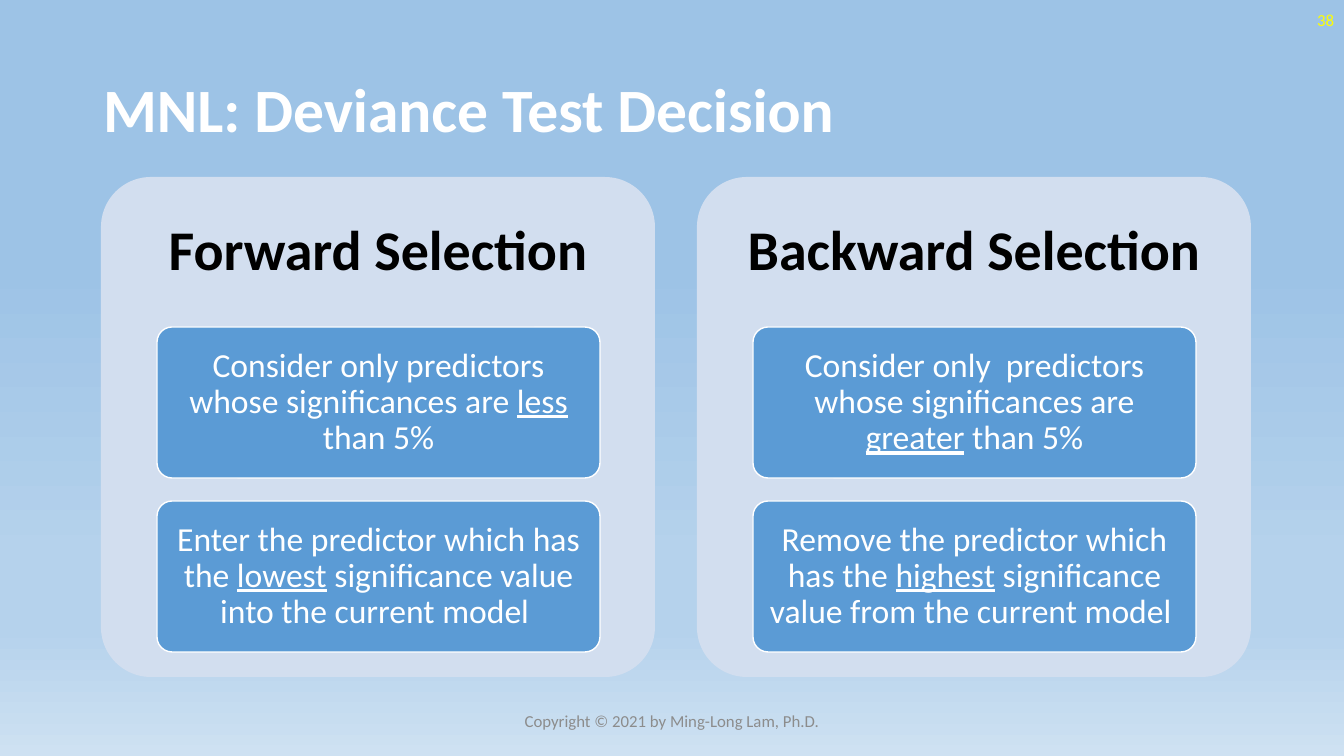
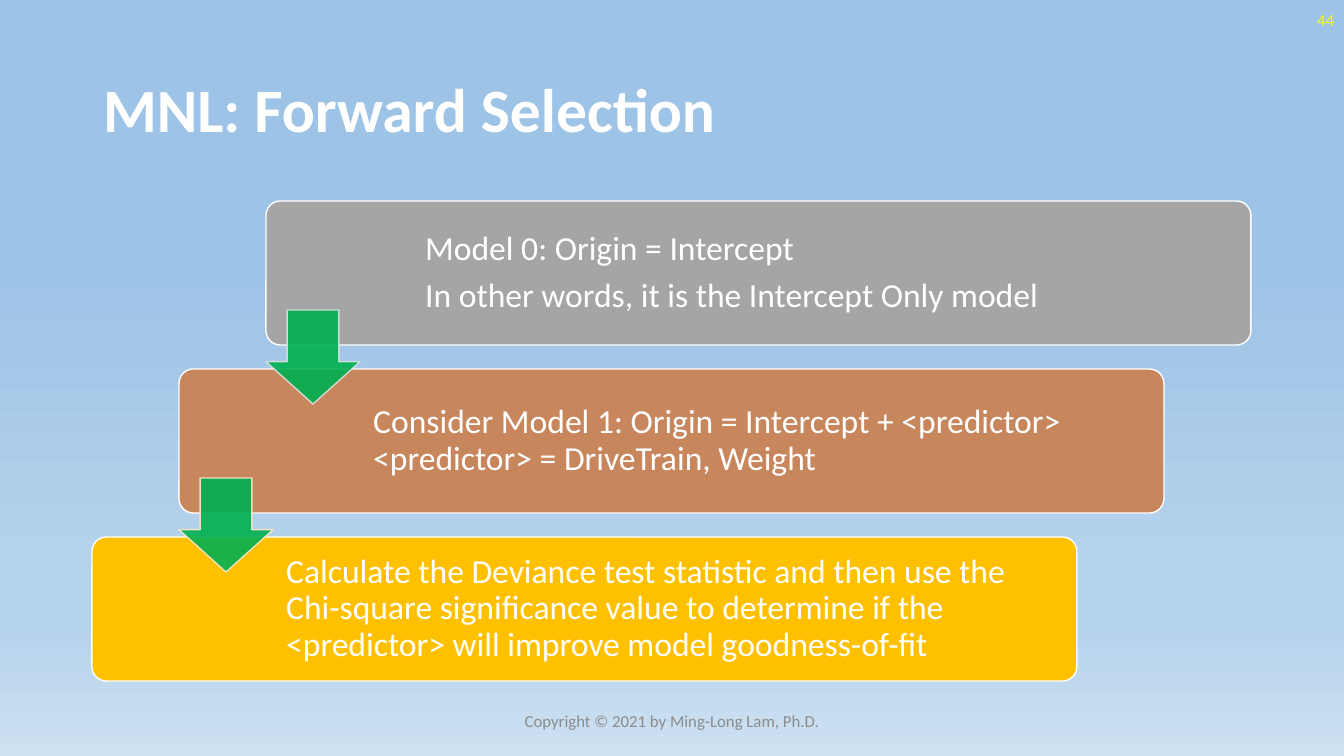
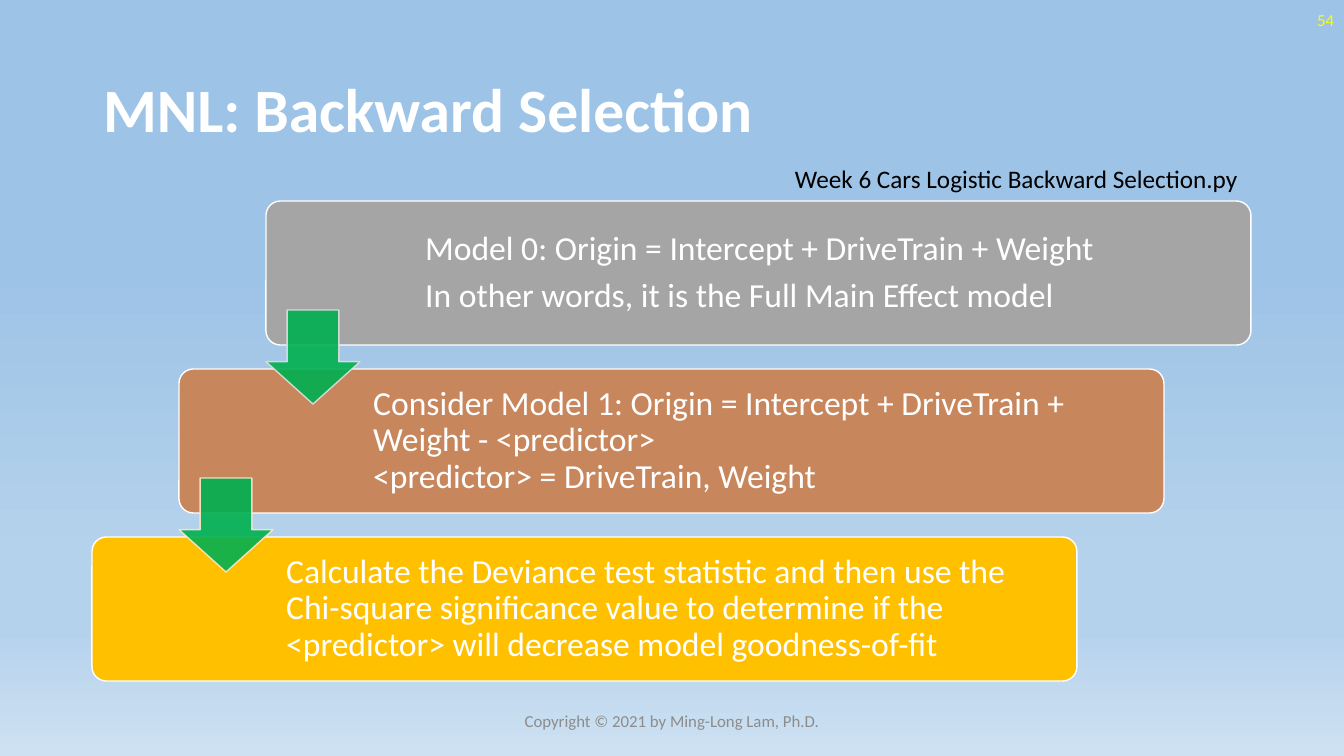
from lxml.etree import SubElement
from pptx import Presentation
from pptx.dml.color import RGBColor
from pptx.enum.shapes import MSO_SHAPE as Preset
from pptx.enum.text import MSO_ANCHOR as Anchor, PP_ALIGN as Align
from pptx.oxml.ns import qn
from pptx.util import Emu, Pt

FONT = "Calibri"
WHITE = RGBColor(0xFF, 0xFF, 0xFF)
BLACK = RGBColor(0, 0, 0)
YELLOW = RGBColor(0xFF, 0xFF, 0)
FOOTER_GREY = RGBColor(0x8C, 0x8C, 0x8C)
PANEL_BLUE = RGBColor(0xD2, 0xDE, 0xEF)
BOX_BLUE = RGBColor(0x5B, 0x9B, 0xD5)
ARROW_GREEN = RGBColor(0, 0xB0, 0x50)
STEP_FILLS = [
    RGBColor(0xA5, 0xA5, 0xA5),
    RGBColor(0xC8, 0x86, 0x5C),
    RGBColor(0xFF, 0xC0, 0),
]
ARROW_LINES = [RGBColor(0xE1, 0xE1, 0xE1), RGBColor(0xFF, 0xE8, 0xCB)]
SKY_STOPS = [(35, "9DC3E6"), (74, "B5D2EC"), (83, "B5D2EC"), (100, "CEE1F2")]

COPYRIGHT = "Copyright © 2021 by Ming-Long Lam, Ph.D."

# Words between underscores are underlined.
DECISION_PANELS = [
    ("Forward Selection", [
        "Consider only predictors whose significances are _less_ than 5%",
        "Enter the predictor which has the _lowest_ significance value "
        "into the current model ",
    ]),
    ("Backward Selection", [
        "Consider only  predictors whose significances are _greater_ than 5%",
        "Remove the predictor which has the _highest_ significance value "
        "from the current model ",
    ]),
]
FORWARD_STEPS = [
    ["Model 0: Origin = Intercept",
     "In other words, it is the Intercept Only model"],
    ["Consider Model 1: Origin = Intercept + <predictor>\n"
     "<predictor> = DriveTrain, Weight"],
    ["Calculate the Deviance test statistic and then use the Chi-square "
     "significance value to determine if the <predictor> will improve "
     "model goodness-of-fit"],
]
BACKWARD_STEPS = [
    ["Model 0: Origin = Intercept + DriveTrain + Weight",
     "In other words, it is the Full Main Effect model"],
    ["Consider Model 1: Origin = Intercept + DriveTrain + Weight - <predictor>\n"
     "<predictor> = DriveTrain, Weight"],
    ["Calculate the Deviance test statistic and then use the Chi-square "
     "significance value to determine if the <predictor> will decrease "
     "model goodness-of-fit"],
]
SCRIPT_NAME = "Week 6 Cars Logistic Backward Selection.py"

STEP_W, STEP_H = 985, 144
STEP_TEXT_LEFTS = [155, 190, 190]


def px(*lengths):
    return [Emu(round(n * 914400 / 100.8)) for n in lengths]


def add_runs(paragraph, text):
    for i, line in enumerate(text.split("\n")):
        if i:
            paragraph.add_line_break()
        for j, part in enumerate(line.split("_")):
            run = paragraph.add_run()
            run.text = part
            if j % 2:
                run.font.underline = True


def write(shape, texts, size, color, align=Align.LEFT, bold=False,
          spacing=None, after=None, anchor=Anchor.MIDDLE, margins=None, wrap=True):
    """Fill a shape with one paragraph per text; margins are left, top, right, bottom."""
    frame = shape.text_frame
    frame.word_wrap = wrap
    frame.vertical_anchor = anchor
    if margins:
        (frame.margin_left, frame.margin_top,
         frame.margin_right, frame.margin_bottom) = px(*margins)
    for i, text in enumerate(texts):
        paragraph = frame.add_paragraph() if i else frame.paragraphs[0]
        add_runs(paragraph, text)
        paragraph.alignment = align
        paragraph.line_spacing = spacing
        paragraph.space_after = after
        font = paragraph.font
        font.name, font.size, font.bold = FONT, Pt(size), bold
        font.color.rgb = color


def add_label(slide, box, text, size, color, **style):
    write(slide.shapes.add_textbox(*px(*box)), [text], size, color, **style)


def add_block(slide, preset, box, fill, line=None, adjustments=(0.1,)):
    block = slide.shapes.add_shape(preset, *px(*box))
    block.shadow.inherit = False
    for i, value in enumerate(adjustments):
        block.adjustments[i] = value
    block.fill.solid()
    block.fill.fore_color.rgb = fill
    if line is None:
        block.line.fill.background()
    else:
        block.line.color.rgb = line
        block.line.width = Pt(1)
    return block


def paint_sky(master):
    fill = master.background.fill
    fill.gradient()
    fill.gradient_angle = 270
    stops = master.element.xpath(".//p:bg//a:gsLst")[0]
    for stop in list(stops):
        stops.remove(stop)
    for percent, color in SKY_STOPS:
        stop = SubElement(stops, qn("a:gs"), pos=str(percent * 1000))
        SubElement(stop, qn("a:srgbClr"), val=color)


def add_slide(prs, title, number):
    slide = prs.slides.add_slide(prs.slide_layouts[5])
    heading = slide.shapes.title
    heading.left, heading.top, heading.width, heading.height = px(93, 40, 1159, 146)
    write(heading, [title], 44, WHITE, bold=True, spacing=0.9)
    add_label(slide, (1042, 0, 302, 40), str(number), 12, YELLOW, align=Align.RIGHT)
    add_label(slide, (445, 701, 454, 40), COPYRIGHT, 12, FOOTER_GREY,
              align=Align.CENTER)
    return slide


def add_panels(slide, panels):
    for column, (heading, rules) in enumerate(panels):
        left = 101 + 596 * column
        panel = add_block(slide, Preset.ROUNDED_RECTANGLE, (left, 177, 554, 500),
                          PANEL_BLUE)
        write(panel, [heading], 40, BLACK, align=Align.CENTER, bold=True,
              spacing=0.9, margins=(2, 0, 2, 350))
        for row, rule in enumerate(rules):
            box = add_block(slide, Preset.ROUNDED_RECTANGLE,
                            (left + 56, 327 + 174 * row, 443, 151), BOX_BLUE, WHITE)
            write(box, [rule], 24, WHITE, align=Align.CENTER, spacing=0.9,
                  after=Pt(8), margins=(7, 5, 7, 5))


def add_steps(slide, steps):
    corners = [(266 - 87 * i, 201 + 168 * i) for i in range(len(steps))]
    for corner, texts, fill, text_left in zip(corners, steps, STEP_FILLS,
                                              STEP_TEXT_LEFTS):
        step = add_block(slide, Preset.ROUNDED_RECTANGLE, (*corner, STEP_W, STEP_H),
                         fill, WHITE)
        write(step, texts, 24, WHITE, spacing=0.9, after=Pt(8),
              margins=(text_left, 10, 10, 10))
    for (left, top), line in zip(corners, ARROW_LINES):
        arrow = add_block(slide, Preset.DOWN_ARROW, (left, top + 109, 94, 94),
                          ARROW_GREEN, line, (0.55, 0.45))
        for color in arrow.element.spPr.iter(qn("a:srgbClr")):
            SubElement(color, qn("a:alpha"), val="90000")


def main():
    prs = Presentation()
    prs.slide_width, prs.slide_height = px(1344, 756)
    paint_sky(prs.slide_master)

    add_panels(add_slide(prs, "MNL: Deviance Test Decision", 38), DECISION_PANELS)
    add_steps(add_slide(prs, "MNL: Forward Selection", 44), FORWARD_STEPS)
    backward = add_slide(prs, "MNL: Backward Selection", 54)
    add_steps(backward, BACKWARD_STEPS)
    add_label(backward, (785, 158, 468, 40), SCRIPT_NAME, 18, BLACK,
              anchor=Anchor.TOP, wrap=False)

    prs.save("out.pptx")


if __name__ == "__main__":
    main()
